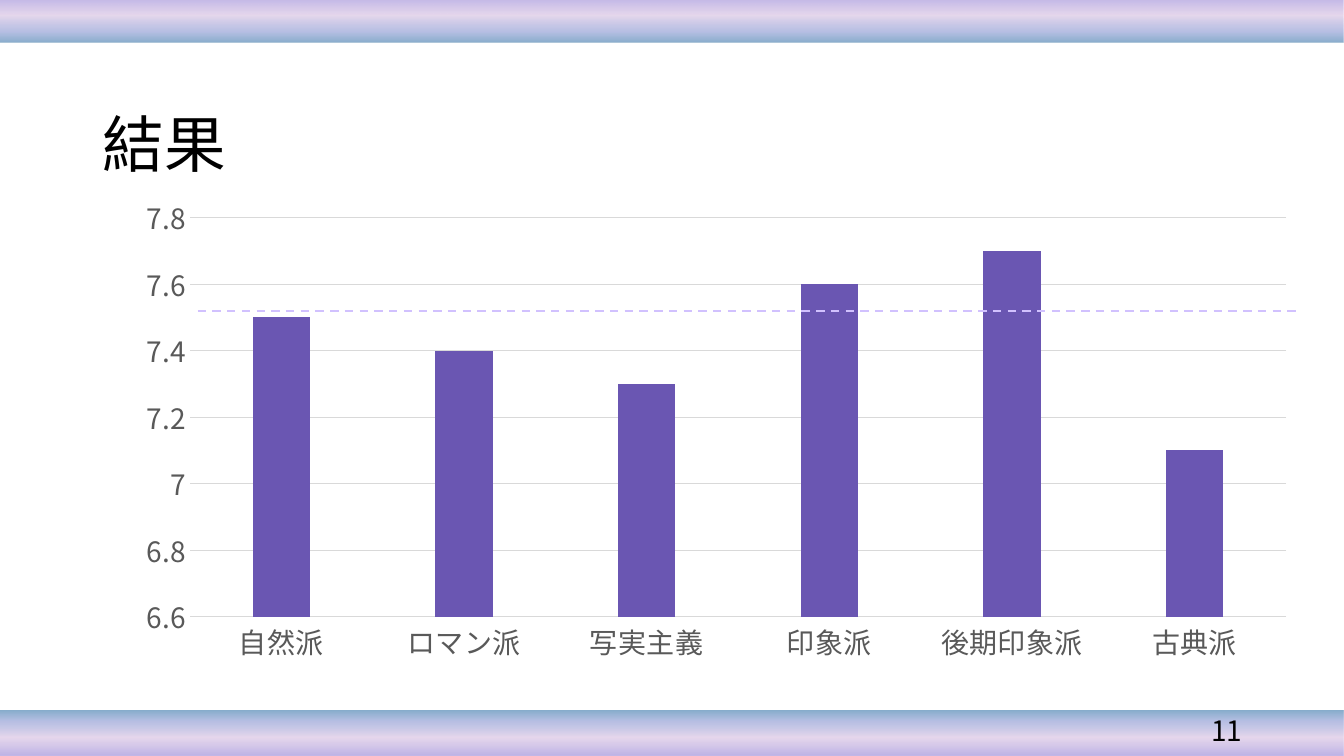
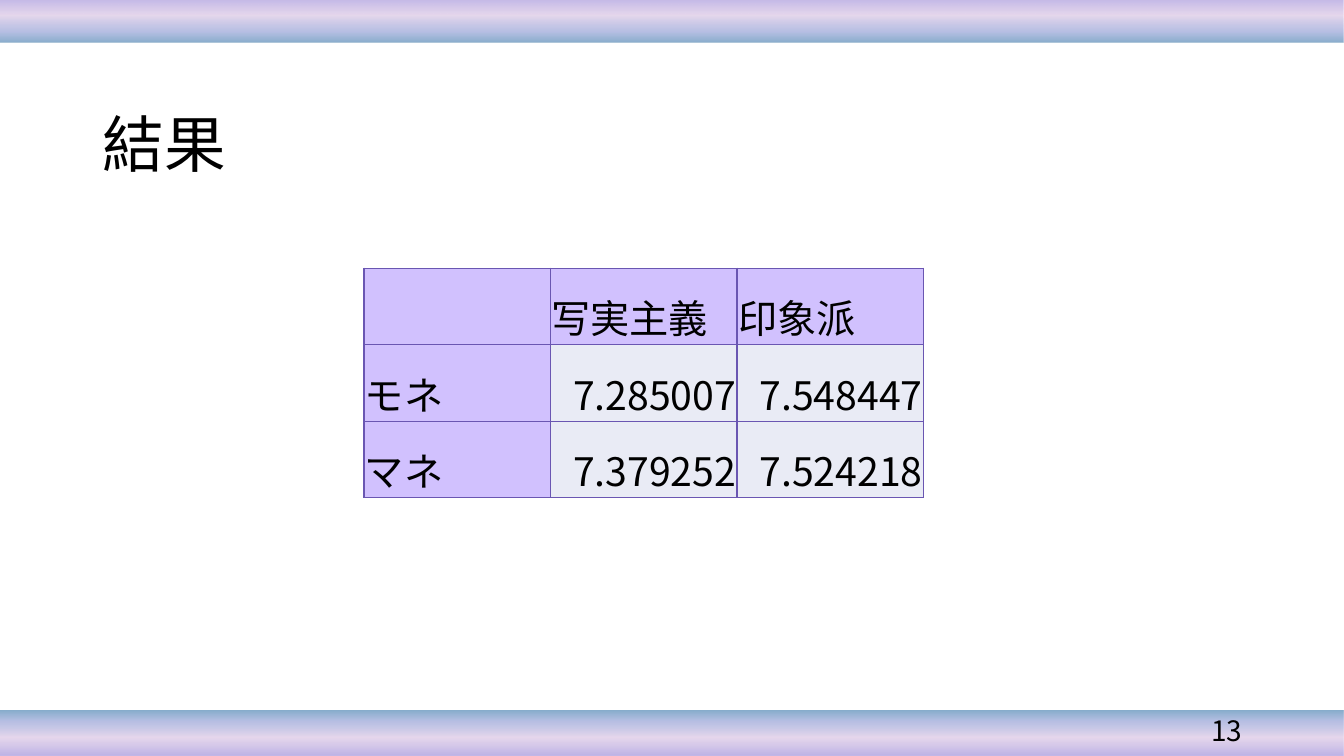
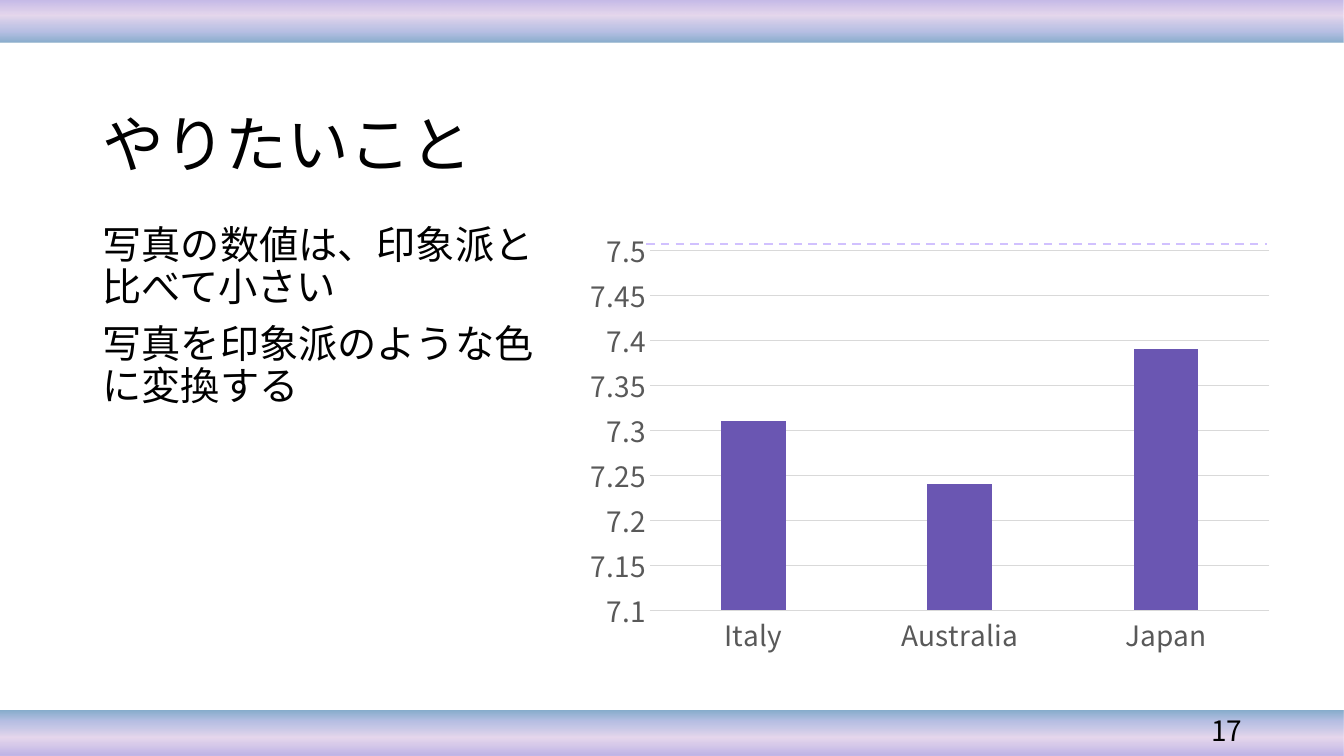
from dataclasses import dataclass

from lxml.etree import SubElement
from pptx import Presentation
from pptx.chart.data import CategoryChartData
from pptx.dml.color import RGBColor
from pptx.enum.chart import XL_CHART_TYPE, XL_TICK_MARK
from pptx.enum.dml import MSO_LINE
from pptx.enum.shapes import MSO_CONNECTOR, MSO_SHAPE
from pptx.enum.text import MSO_ANCHOR, PP_ALIGN
from pptx.oxml.ns import qn
from pptx.util import Inches, Pt


@dataclass(frozen=True)
class Theme:
    font: str = "Noto Sans CJK JP"
    text: str = "000000"
    axis_text: str = "595959"
    grid: str = "D9D9D9"
    accent: str = "6A56B2"
    pale: str = "D1C1FE"
    cell: str = "E9EBF5"
    band: tuple = ((0, "BDB2E7", 100), (41, "E1D0E9", 83),
                   (76, "98A4D8", 70), (100, "5389B5", 70))
    title_size: int = 44
    body_size: int = 28
    small_size: int = 20


def rgb(color):
    return RGBColor.from_string(color)


class Deck:
    def __init__(self, theme):
        self.theme = theme
        self.prs = Presentation()
        self.prs.slide_width = Inches(13.33)
        self.prs.slide_height = Inches(7.5)
        self.slide = None

    def new_slide(self, title, number):
        self.slide = self.prs.slides.add_slide(self.prs.slide_layouts[6])
        self.band(-0.03, flip=True)
        self.band(7.05)
        t = self.theme
        self.text([title], 0.92, 0.74, 11.5, 1.45, t.title_size,
                  anchor=MSO_ANCHOR.MIDDLE, spacing=0.9)
        self.text([str(number)], 9.42, 7.05, 3, 0.4, t.small_size,
                  anchor=MSO_ANCHOR.MIDDLE, align=PP_ALIGN.RIGHT)

    def style_font(self, font, size, color):
        font.size = Pt(size)
        font.name = self.theme.font
        font.color.rgb = rgb(color)
        SubElement(font._rPr, qn("a:ea"), typeface=self.theme.font)

    def style_paragraph(self, p, size, align=None):
        p.alignment = align
        for r in p.runs:
            self.style_font(r.font, size, self.theme.text)

    def band(self, top, flip=False):
        sp = self.slide.shapes.add_shape(
            MSO_SHAPE.RECTANGLE, 0, Inches(top), self.prs.slide_width, Inches(0.45))
        sp.shadow.inherit = False
        sp.line.fill.background()
        sp.fill.gradient()
        grad = sp._element.spPr.find(qn("a:gradFill"))
        for child in list(grad):
            grad.remove(child)
        stops = SubElement(grad, qn("a:gsLst"))
        for pos, color, alpha in self.theme.band:
            gs = SubElement(stops, qn("a:gs"), pos=str(pos * 1000))
            clr = SubElement(gs, qn("a:srgbClr"), val=color)
            if alpha < 100:
                SubElement(clr, qn("a:alpha"), val=str(alpha * 1000))
        SubElement(grad, qn("a:lin"), ang=str(270 * 60000), scaled="0")
        if flip:
            sp._element.spPr.find(qn("a:xfrm")).set("flipV", "1")

    def text(self, lines, left, top, width, height, size, anchor=MSO_ANCHOR.TOP,
             align=None, spacing=None, before=0):
        sp = self.slide.shapes.add_textbox(
            Inches(left), Inches(top), Inches(width), Inches(height))
        tf = sp.text_frame
        tf.word_wrap = True
        tf.vertical_anchor = anchor
        tf.text = "\n".join(lines)
        for p in tf.paragraphs:
            p.line_spacing = spacing
            p.space_before = Pt(before)
            self.style_paragraph(p, size, align)

    def dashed_line(self, left, right, y):
        line = self.slide.shapes.add_connector(
            MSO_CONNECTOR.STRAIGHT, Inches(left), Inches(y), Inches(right), Inches(y))
        line.line.color.rgb = rgb(self.theme.pale)
        line.line.width = Pt(1.5)
        line.line.dash_style = MSO_LINE.DASH
        SubElement(line._element.spPr, qn("a:effectLst"))

    def column_chart(self, values, left, top, width, height, low, high, step):
        t = self.theme
        data = CategoryChartData()
        data.categories = list(values)
        data.add_series("Series 1", list(values.values()))
        chart = self.slide.shapes.add_chart(
            XL_CHART_TYPE.COLUMN_CLUSTERED, Inches(left), Inches(top),
            Inches(width), Inches(height), data).chart
        chart.has_title = False
        chart.has_legend = False
        self.style_font(chart.font, 10, t.text)
        for axis in (chart.category_axis, chart.value_axis):
            axis.major_tick_mark = XL_TICK_MARK.NONE
            axis.minor_tick_mark = XL_TICK_MARK.NONE
            self.style_font(axis.tick_labels.font, t.small_size, t.axis_text)
        value_axis = chart.value_axis
        value_axis.minimum_scale = low
        value_axis.maximum_scale = high
        value_axis.major_unit = step
        value_axis.format.line.fill.background()
        value_axis.has_major_gridlines = True
        for line in (chart.category_axis.format.line,
                     value_axis.major_gridlines.format.line):
            line.color.rgb = rgb(t.grid)
            line.width = Pt(0.75)
        plot = chart.plots[0]
        plot.vary_by_categories = False
        plot.gap_width = 219
        plot.overlap = -27
        fill = plot.series[0].format.fill
        fill.solid()
        fill.fore_color.rgb = rgb(t.accent)

    def cell_borders(self, cell):
        tc_pr = cell._tc.get_or_add_tcPr()
        for i, side in enumerate(("lnL", "lnR", "lnT", "lnB")):
            ln = SubElement(tc_pr, qn("a:" + side), w=str(Pt(1)))
            fill = SubElement(ln, qn("a:solidFill"))
            SubElement(fill, qn("a:srgbClr"), val=self.theme.accent)
            tc_pr.remove(ln)
            tc_pr.insert(i, ln)

    def table(self, rows, left, top, col_width, row_height):
        t = self.theme
        n_rows, n_cols = len(rows), len(rows[0])
        table = self.slide.shapes.add_table(
            n_rows, n_cols, Inches(left), Inches(top),
            Inches(col_width * n_cols), Inches(row_height * n_rows)).table
        table.first_row = False
        table.horz_banding = False
        for i, row in enumerate(rows):
            for j, value in enumerate(row):
                heading = i == 0 or j == 0
                cell = table.cell(i, j)
                cell.text = value
                cell.vertical_anchor = MSO_ANCHOR.BOTTOM
                cell.margin_left = cell.margin_right = cell.margin_top = Inches(0.01)
                cell.margin_bottom = 0
                cell.fill.solid()
                cell.fill.fore_color.rgb = rgb(t.pale if heading else t.cell)
                self.style_paragraph(cell.text_frame.paragraphs[0], t.body_size,
                                     None if heading else PP_ALIGN.RIGHT)
                self.cell_borders(cell)


def main():
    deck = Deck(Theme())

    deck.new_slide("結果", 11)
    schools = {"自然派": 7.5, "ロマン派": 7.4, "写実主義": 7.3,
               "印象派": 7.6, "後期印象派": 7.7, "古典派": 7.1}
    deck.column_chart(schools, 1.22, 1.86, 11.77, 4.8, 6.6, 7.8, 0.2)
    deck.dashed_line(1.96, 12.9, 3.09)

    deck.new_slide("結果", 13)
    deck.table([["", "写実主義", "印象派"],
                ["モネ", "7.285007", "7.548447"],
                ["マネ", "7.379252", "7.524218"]], 3.61, 2.66, 1.85, 0.76)

    deck.new_slide("やりたいこと", 17)
    deck.text(["写真の数値は、印象派と比べて小さい",
               "写真を印象派のような色に変換する"],
              0.92, 2.19, 4.56, 4.76, deck.theme.body_size, spacing=0.9, before=10)
    countries = {"Italy": 7.31, "Australia": 7.24, "Japan": 7.39}
    deck.column_chart(countries, 5.72, 2.19, 7.01, 4.4, 7.1, 7.5, 0.05)
    deck.dashed_line(6.41, 12.57, 2.42)

    deck.prs.save("out.pptx")


if __name__ == "__main__":
    main()
